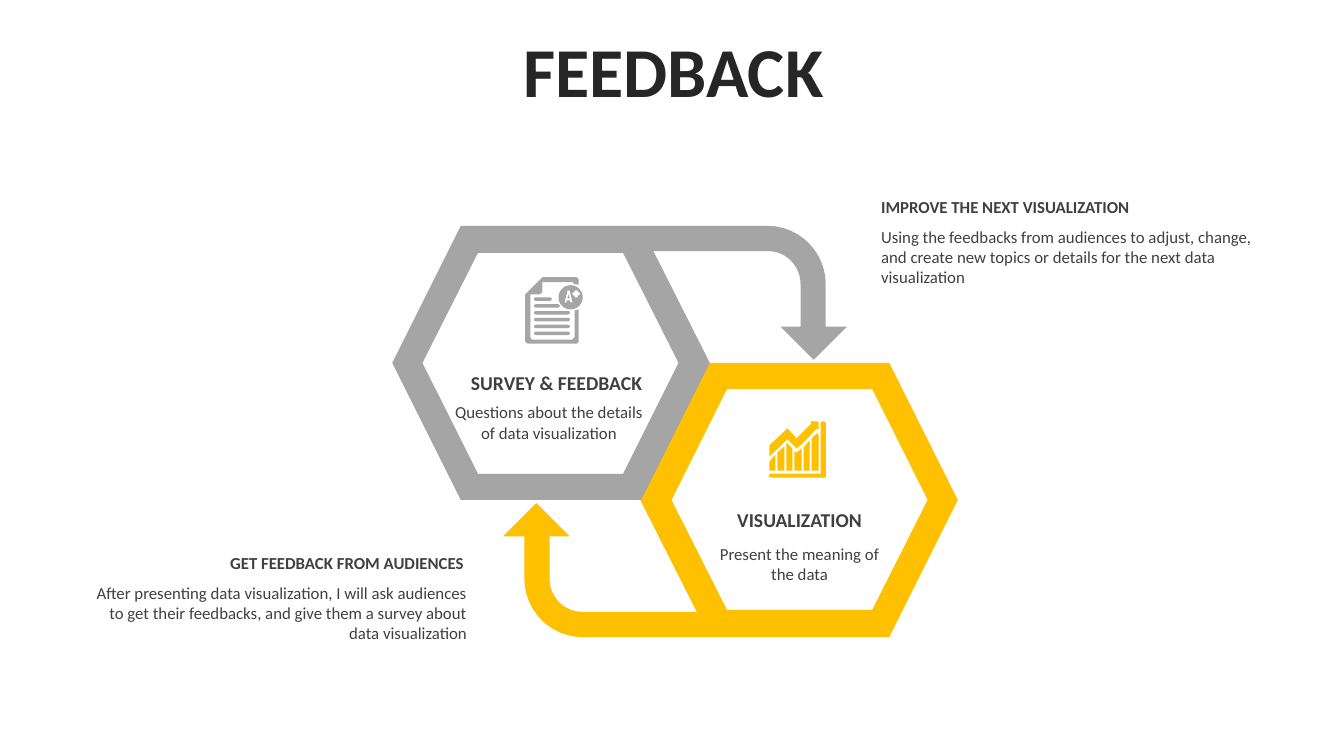
from math import cos, pi, sin

from pptx import Presentation
from pptx.dml.color import RGBColor
from pptx.enum.text import MSO_ANCHOR, MSO_AUTO_SIZE, PP_ALIGN as ALIGN
from pptx.util import Inches, Pt

GREY, YELLOW, BODY, TITLE = "A5A5A5", "FFC000", "404040", "262626"

HEXAGON_ARROW = [
    [(4.74, 2.51), (4.19, 3.6), (4.74, 4.7), (6.18, 4.7), (6.73, 3.6), (6.18, 2.51)],
    [(4.57, 2.24), (7.61, 2.24), (7.93, 2.24, 8.19, 2.5, 8.19, 2.82), (8.19, 3.24),
     (8.4, 3.24), (8.07, 3.57), (7.74, 3.24), (7.94, 3.24), (7.94, 2.82),
     (7.94, 2.64, 7.8, 2.49, 7.61, 2.49), (6.48, 2.49), (7.04, 3.6), (6.36, 4.96),
     (4.57, 4.96), (3.89, 3.6)],
]
BARS = [
    [(7.63, 4.67), (7.63, 4.58), (7.69, 4.51), (7.69, 4.67)],
    [(7.71, 4.67), (7.71, 4.49), (7.78, 4.43), (7.78, 4.67)],
    [(7.8, 4.67), (7.8, 4.39), (7.86, 4.45), (7.86, 4.67)],
    [(7.88, 4.67), (7.88, 4.48), (7.9, 4.49), (7.95, 4.45), (7.95, 4.67)],
    [(7.97, 4.67), (7.97, 4.44), (8.03, 4.37), (8.03, 4.67)],
    [(8.05, 4.67), (8.05, 4.35), (8.1, 4.3), (8.12, 4.31), (8.12, 4.67)],
]
TREND = [(8.12, 4.18), (8.12, 4.27), (8.1, 4.25), (7.96, 4.4), (7.9, 4.45), (7.81, 4.36),
         (7.63, 4.53), (7.63, 4.42), (7.81, 4.25), (7.9, 4.35), (8.05, 4.2), (8.03, 4.18)]
AXES = [(8.16, 4.18), (8.18, 4.18, 8.19, 4.19, 8.19, 4.2), (8.19, 4.74), (7.65, 4.74),
        (7.62, 4.74, 7.62, 4.7, 7.65, 4.7), (8.14, 4.7), (8.14, 4.2),
        (8.14, 4.19, 8.15, 4.18, 8.16, 4.18)]
PAGE = [(5.38, 2.75), (5.71, 2.75), (5.73, 2.75, 5.74, 2.77, 5.74, 2.78), (5.74, 2.83),
        (5.73, 2.82, 5.71, 2.82, 5.69, 2.82), (5.69, 2.8, 5.68, 2.8, 5.67, 2.8),
        (5.38, 2.8), (5.38, 2.89), (5.38, 2.9, 5.36, 2.92, 5.35, 2.92), (5.26, 2.92),
        (5.26, 3.34), (5.26, 3.35, 5.27, 3.37, 5.28, 3.37), (5.67, 3.37),
        (5.68, 3.37, 5.7, 3.35, 5.7, 3.34), (5.7, 3.08),
        (5.71, 3.08, 5.73, 3.07, 5.74, 3.07), (5.74, 3.38),
        (5.74, 3.4, 5.73, 3.41, 5.71, 3.41), (5.25, 3.41),
        (5.23, 3.41, 5.21, 3.4, 5.21, 3.38), (5.21, 2.92)]
GRADE = [
    [(5.64, 2.92), (5.65, 2.96), (5.63, 2.96)],
    [(5.63, 2.88), (5.6, 3), (5.62, 3), (5.62, 2.98), (5.65, 2.98), (5.66, 3), (5.68, 3),
     (5.65, 2.88)],
    [(5.7, 2.88), (5.7, 2.9), (5.68, 2.9), (5.68, 2.93), (5.7, 2.93), (5.7, 2.95),
     (5.73, 2.95), (5.73, 2.93), (5.75, 2.93), (5.75, 2.9), (5.73, 2.9), (5.73, 2.88)],
]


def rgb(value):
    return RGBColor.from_string(value)


def circle(x, y, radius, steps=36):
    angles = [2 * pi * i / steps for i in range(steps)]
    return [(x + radius * cos(a), y + radius * sin(a)) for a in angles]


def text_line(left, top, right, height=0.035):
    bottom, bulge = top + height, 0.02
    return [(left + bulge, top), (right - bulge, top),
            (right + 0.01, top, right + 0.01, bottom, right - bulge, bottom),
            (left + bulge, bottom),
            (left - 0.01, bottom, left - 0.01, top, left + bulge, top)]


def flatten(contour, steps=12):
    points = []
    for item in contour:
        if len(item) == 2:
            points.append(item)
            continue
        curve = [points[-1], item[:2], item[2:4], item[4:]]
        for t in (i / steps for i in range(1, steps + 1)):
            weights = ((1 - t) ** 3, 3 * t * (1 - t) ** 2, 3 * t * t * (1 - t), t ** 3)
            points.append(tuple(sum(w * p[axis] for w, p in zip(weights, curve))
                                for axis in (0, 1)))
    return points


def write(frame, text, size=12, color=BODY, bold=False, align=ALIGN.LEFT,
          anchor=MSO_ANCHOR.TOP, line_spacing=None, space_before=None):
    frame.word_wrap = True
    frame.auto_size = MSO_AUTO_SIZE.NONE
    frame.vertical_anchor = anchor
    paragraph = frame.paragraphs[0]
    paragraph.alignment = align
    paragraph.line_spacing = line_spacing
    paragraph.space_before = space_before
    run = paragraph.add_run()
    run.text = text
    run.font.name = "Calibri"
    run.font.size = Pt(size)
    run.font.bold = bold
    run.font.color.rgb = rgb(color)


class FeedbackSlide:
    """Draws styled elements on one title-only slide."""

    def __init__(self, deck):
        self.slide = deck.slides.add_slide(deck.slide_layouts[5])
        self.shapes = self.slide.shapes

    def title(self, text, left, top, width, height):
        heading = self.shapes.title
        heading.left, heading.top = Inches(left), Inches(top)
        heading.width, heading.height = Inches(width), Inches(height)
        write(heading.text_frame, text, size=50, color=TITLE, bold=True,
              align=ALIGN.CENTER, anchor=MSO_ANCHOR.MIDDLE, line_spacing=0.8,
              space_before=Pt(10))

    def text(self, text, left, top, width, height, **style):
        box = self.shapes.add_textbox(Inches(left), Inches(top), Inches(width), Inches(height))
        write(box.text_frame, text, **style)

    def outline(self, contours, color, dx=0, dy=0, rotation=0):
        builder = None
        for contour in contours:
            points = [(Inches(x + dx), Inches(y + dy)) for x, y in flatten(contour)]
            if builder is None:
                builder = self.shapes.build_freeform(*points[0])
            else:
                builder.move_to(*points[0])
            builder.add_line_segments(points[1:], close=True)
        figure = builder.convert_to_shape()
        figure.rotation = rotation
        figure.shadow.inherit = False
        figure.fill.solid()
        figure.fill.fore_color.rgb = rgb(color)
        figure.line.fill.background()


def main():
    deck = Presentation()
    deck.slide_width, deck.slide_height = Inches(13.33), Inches(7.5)
    feedback = FeedbackSlide(deck)
    feedback.title("FEEDBACK", 0.35, 0.37, 12.66, 0.79)

    feedback.outline(HEXAGON_ARROW, YELLOW, dx=1.1, dy=1.36, rotation=180)
    feedback.outline(HEXAGON_ARROW, GREY)

    feedback.text("Using the feedbacks from audiences to adjust, change, and create new topics "
                  "or details for the next data visualization", 8.64, 2.2, 3.92, 0.71)
    feedback.text("IMPROVE THE NEXT VISUALIZATION", 8.64, 1.9, 3.92, 0.3, bold=True)
    feedback.text("After presenting data visualization, I will ask audiences to get their "
                  "feedbacks, and give them a survey about data visualization",
                  0.74, 5.73, 3.99, 0.71, align=ALIGN.RIGHT)
    feedback.text("GET FEEDBACK FROM AUDIENCES", 0.74, 5.43, 3.96, 0.3, bold=True,
                  align=ALIGN.RIGHT)

    for name, left, top in (("SURVEY & FEEDBACK", 4.53, 3.63), ("VISUALIZATION", 6.94, 4.99)):
        feedback.text(name, left, top, 1.98, 0.33, size=14, bold=True, align=ALIGN.CENTER)
    feedback.text("Present the meaning of the data", 6.94, 5.34, 1.98, 0.51,
                  align=ALIGN.CENTER)
    feedback.text("Questions about the details of data visualization", 4.38, 3.94, 2.13, 0.51,
                  align=ALIGN.CENTER)

    feedback.outline([*BARS, TREND, AXES], YELLOW)
    line_ends = [5.47, 5.55] + [5.65] * 4
    lines = [text_line(5.3, 2.95 + 0.068 * i, end) for i, end in enumerate(line_ends)]
    feedback.outline([*lines, *GRADE, circle(5.66, 2.95, 0.12), PAGE], GREY)

    deck.save("out.pptx")


if __name__ == "__main__":
    main()
